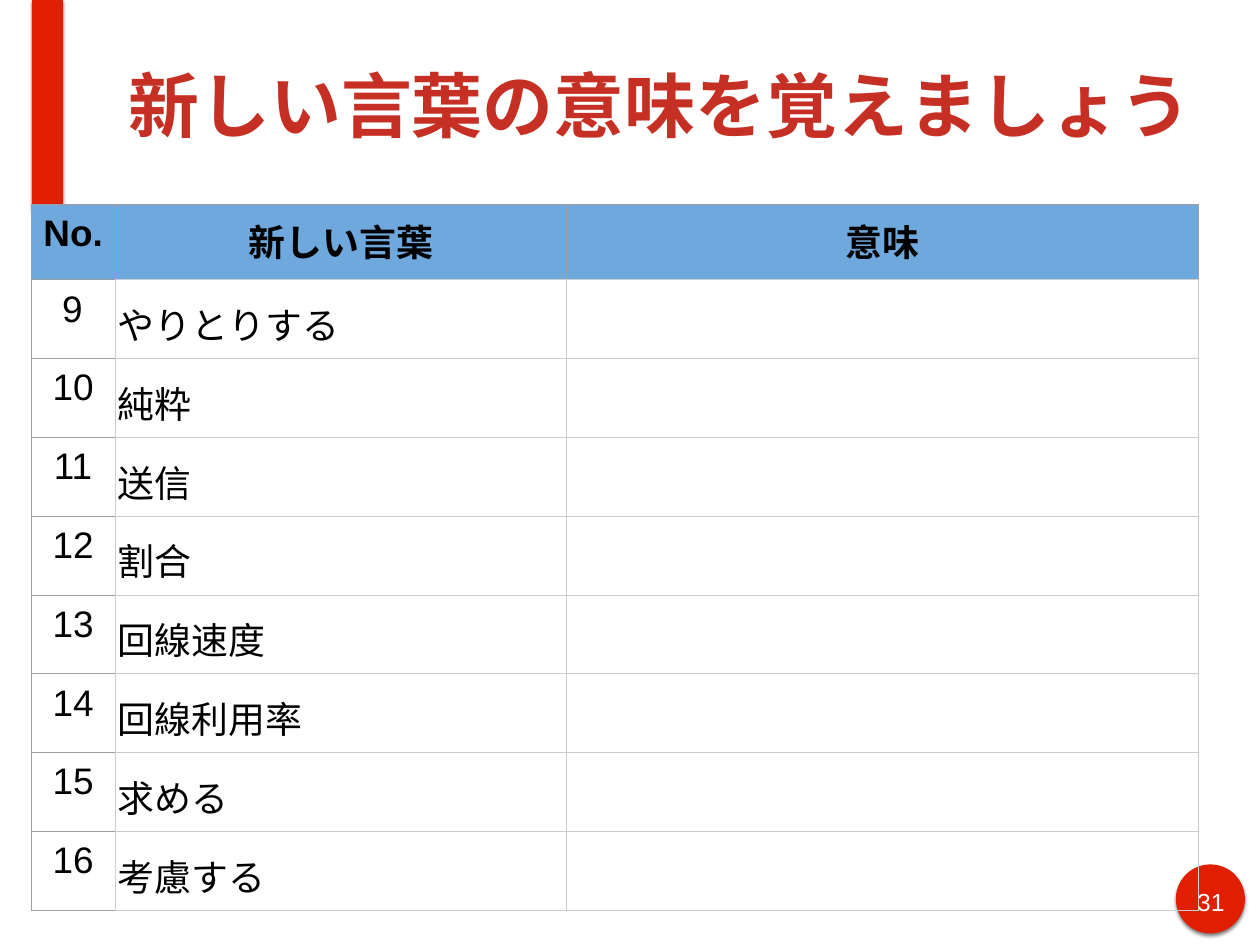
from pptx import Presentation
from pptx import util as u
from pptx.dml.color import RGBColor
from pptx.enum import shapes, text
from pptx.oxml import parse_xml
from pptx.oxml.ns import nsdecls

WIDE, HIGH = u.Inches(14.22), u.Inches(10.67)
RED = RGBColor(0xDF, 0x1F, 0x00)
BRICK = RGBColor(0xC6, 0x30, 0x24)
BLUE = RGBColor(0x6F, 0xA8, 0xDC)
GRAY = RGBColor(0x9E, 0x9E, 0x9E)
PALE = RGBColor(0xCC, 0xCC, 0xCC)
BLACK = RGBColor(0, 0, 0)
WHITE = RGBColor(0xFF, 0xFF, 0xFF)
MID = text.MSO_ANCHOR.MIDDLE
TOP = text.MSO_ANCHOR.TOP
LEFT = text.PP_ALIGN.LEFT
CENTER = text.PP_ALIGN.CENTER
COLS = (0.95, 5.09, 7.13)
HEAD, ROW = 0.85, 0.89
TITLES = ("No.", "新しい言葉", "意味")
WORDS = ("やりとりする", "純粋", "送信", "割合", "回線速度", "回線利用率", "求める", "考慮する")
FIRST = 9


def box(x, y, w, h):
    return [u.Inches(n) for n in (x, y, w, h)]


def write(para, words, size, color, bold=False, align=LEFT):
    para.alignment = align
    run = para.add_run()
    run.text = words
    font = run.font
    font.name, font.size, font.bold = "Arial", u.Pt(size), bold
    font.color.rgb = color


def accent(slide, kind, *place):
    shape = slide.shapes.add_shape(kind, *box(*place))
    shape.fill.solid()
    shape.fill.fore_color.rgb = RED
    shape.line.fill.background()
    shape.shadow.inherit = False
    glow = shape.element.spPr.find("{*}effectLst")
    glow.append(parse_xml(
        f'<a:outerShdw {nsdecls("a")} blurRad="{u.Pt(3)}" dist="{u.Pt(2)}" '
        'dir="5400000" algn="ctr" rotWithShape="0"><a:srgbClr val="000000">'
        '<a:alpha val="49000"/></a:srgbClr></a:outerShdw>'))


def label(slide, place, words, size, color, anchor=TOP, **style):
    frame = slide.shapes.add_textbox(*box(*place)).text_frame
    frame.word_wrap = True
    frame.vertical_anchor = anchor
    frame.margin_left = frame.margin_right = u.Inches(0.06)
    frame.margin_top = frame.margin_bottom = u.Inches(0.06)
    write(frame.paragraphs[0], words, size, color, **style)


def border(cell, **sides):
    props = cell._tc.get_or_add_tcPr()
    for side in "LRTB":
        props.append(parse_xml(
            f'<a:ln{side} {nsdecls("a")} w="{u.Pt(0.75)}"><a:solidFill>'
            f'<a:srgbClr val="{sides.get(side, PALE)}"/></a:solidFill></a:ln{side}>'))


def fit(cell, side=0.1, anchor=TOP):
    cell.margin_left = cell.margin_right = u.Inches(side)
    cell.margin_top = cell.margin_bottom = u.Inches(0.1)
    cell.vertical_anchor = anchor
    return cell.text_frame.paragraphs[0]


def header(table):
    for col, words in enumerate(TITLES):
        cell = table.cell(0, col)
        border(cell, L=GRAY, R=GRAY, T=GRAY, B=PALE if col else GRAY)
        cell.fill.solid()
        cell.fill.fore_color.rgb = BLUE
        write(fit(cell), words, 30, BLACK, True, CENTER)


def entry(table, row, word):
    num, term, sense = (table.cell(row, col) for col in range(len(COLS)))
    border(num, L=GRAY, T=GRAY, B=GRAY)
    border(term)
    border(sense)
    for cell in (num, term, sense):
        cell.fill.background()
    para = fit(num)
    if row == 1:
        props = para._p.get_or_add_pPr()
        props.set("marL", str(u.Inches(0.5)))
        props.set("indent", str(u.Inches(-0.25)))
    write(para, str(FIRST + row - 1), 30, BLACK, align=LEFT if row == 1 else CENTER)
    para = fit(term, 0.03, MID)
    para.line_spacing = 1.15
    write(para, word, 30, BLACK)


def grid(slide):
    high = HEAD + ROW * len(WORDS)
    place = box(0.35, 2.31, sum(COLS), high)
    table = slide.shapes.add_table(len(WORDS) + 1, len(COLS), *place).table
    table.first_row = table.horz_banding = False
    for col, wide in zip(table.columns, COLS):
        col.width = u.Inches(wide)
    for row in table.rows:
        row.height = u.Inches(ROW)
    table.rows[0].height = u.Inches(HEAD)
    header(table)
    for row, word in enumerate(WORDS, 1):
        entry(table, row, word)


def main():
    deck = Presentation()
    deck.slide_width, deck.slide_height = WIDE, HIGH
    slide = deck.slides.add_slide(deck.slide_layouts[6])
    accent(slide, shapes.MSO_SHAPE.OVAL, 13.27, 9.76, 0.78, 0.78)
    accent(slide, shapes.MSO_SHAPE.RECTANGLE, 0.36, 0, 0.35, 2.36)
    label(slide, (13.42, 9.95, 0.49, 0.39), "31", 20, WHITE, align=CENTER)
    label(slide, (1.39, 0.12, 12.14, 2.12), "新しい言葉の意味を覚えましょう", 57.6, BRICK, MID, bold=True)
    grid(slide)
    deck.save("out.pptx")


if __name__ == "__main__":
    main()
